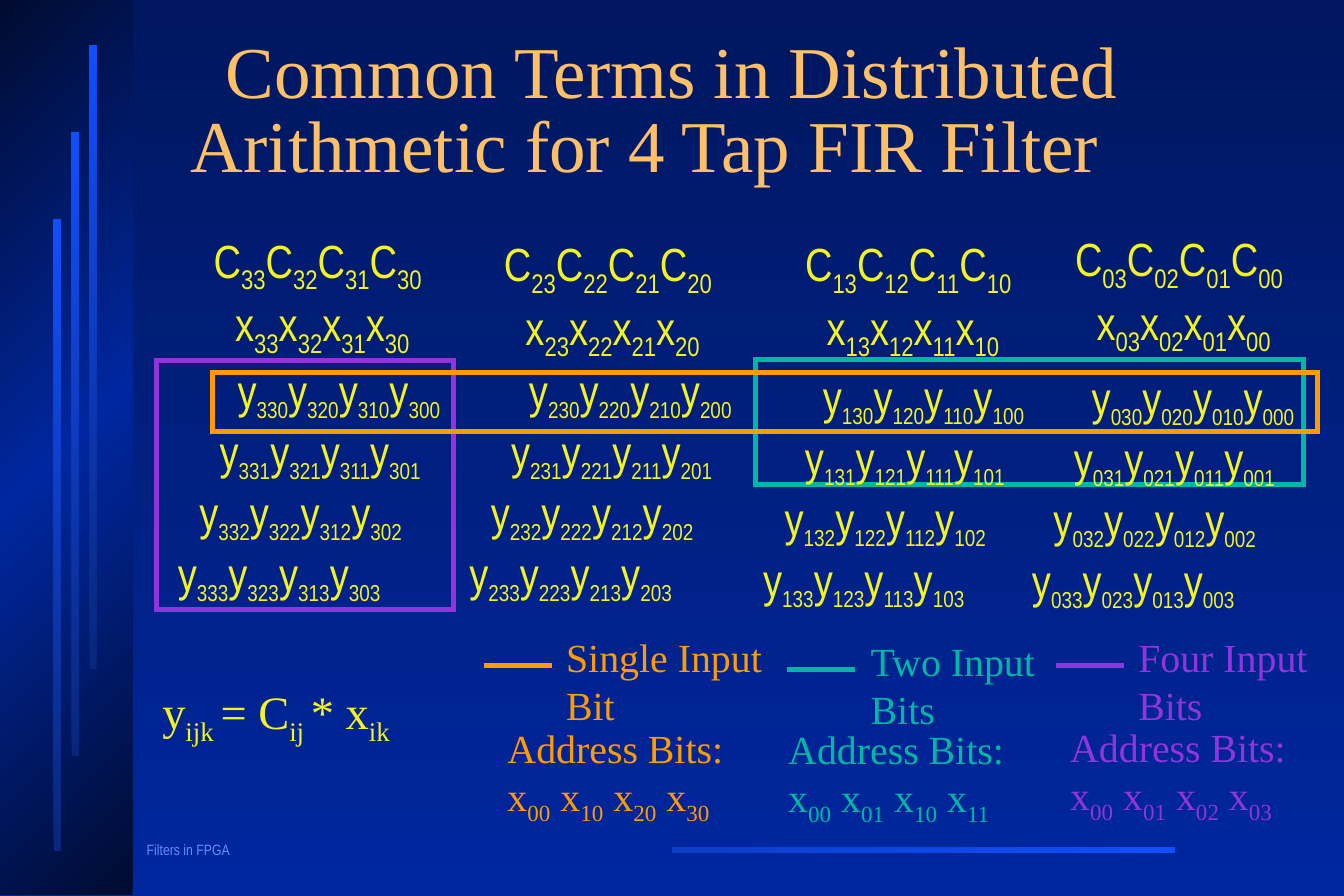
from copy import deepcopy
from dataclasses import dataclass

from lxml import etree
from pptx import Presentation
from pptx.dml.color import RGBColor
from pptx.dml.fill import FillFormat
from pptx.enum.shapes import MSO_CONNECTOR, MSO_SHAPE
from pptx.enum.text import MSO_ANCHOR, MSO_AUTO_SIZE
from pptx.oxml.ns import qn
from pptx.slide import Slide
from pptx.text.text import _Paragraph as Para
from pptx.util import Emu, Pt

RECT = MSO_SHAPE.RECTANGLE
LINE = MSO_CONNECTOR.STRAIGHT
MIDDLE = MSO_ANCHOR.MIDDLE
GROW = MSO_AUTO_SIZE.SHAPE_TO_FIT_TEXT
FIXED = MSO_AUTO_SIZE.NONE
SCALE = 9144
SERIF = "Times New Roman"
NARROW = "Arial Narrow"
YELLOW = "F3F31D"
ORANGE = "FE9B03"
GREEN = "00B7A5"
PURPLE = "9234DB"
BITS = (3, 2, 1, 0)
SUB = "-25000"


@dataclass
class Box:
    left: int
    top: int
    width: int
    height: int


@dataclass
class Style:
    font: str
    size: int
    color: str
    small: int


@dataclass
class Bar:
    box: Box
    colors: tuple[str, ...]


@dataclass
class Frame:
    box: Box
    color: str


@dataclass
class Column:
    tap: int
    head: tuple[int, int]
    grid: tuple[int, int]


@dataclass
class Key:
    color: str
    lines: list[str]
    dash: tuple[int, int]
    label: Box
    note: tuple[int, int]
    bits: str


GLOW = ("08277C", "114FFB")
BARS = [
    Bar(Box(563, 709, 421, 5), ("114FFB", "0D3EC8")),
    Bar(Box(0, 0, 111, 749), ("000B2F", "00279F", "000B2F")),
    Bar(Box(45, 184, 6, 528), GLOW),
    Bar(Box(60, 111, 6, 522), GLOW),
    Bar(Box(75, 38, 6, 522), GLOW),
]
FRAMES = [
    Frame(Box(131, 302, 249, 208), PURPLE),
    Frame(Box(632, 301, 459, 105), GREEN),
    Frame(Box(178, 312, 925, 49), ORANGE),
]
COLUMNS = [
    Column(3, (169, 189), (139, 298)),
    Column(2, (412, 192), (383, 298)),
    Column(1, (664, 192), (629, 303)),
    Column(0, (890, 188), (854, 304)),
]
KEYS = [
    Key(ORANGE, ["Single Input", "Bit"], (405, 557),
        Box(464, 525, 188, 90), (415, 601), "x|00| x|10| x|20| x|30"),
    Key(GREEN, ["Two Input", "Bits"], (659, 560),
        Box(719, 528, 164, 90), (650, 602), "x|00| x|01| x|10| x|11"),
    Key(PURPLE, ["Four Input", "Bits"], (884, 557),
        Box(943, 525, 166, 90), (886, 600), "x|00| x|01| x|02| x|03"),
]


def px(count: int) -> Emu:
    return Emu(count * SCALE)


def place(box: Box) -> tuple[Emu, Emu, Emu, Emu]:
    return px(box.left), px(box.top), px(box.width), px(box.height)


def paint(code: str) -> RGBColor:
    return RGBColor.from_string(code)


def shade(fill: FillFormat, node: etree._Element, colors: tuple[str, ...], angle: int) -> None:
    fill.gradient()
    fill.gradient_angle = 360 - angle
    stops = next(node.iter(qn("a:gsLst")))
    while len(stops) < len(colors):
        stops.append(deepcopy(stops[0]))
    for order, (stop, color) in enumerate(zip(fill.gradient_stops, colors)):
        stop.color.rgb = paint(color)
        stop.position = order / (len(colors) - 1)


def draw_bar(slide: Slide, bar: Bar) -> None:
    shape = slide.shapes.add_shape(RECT, *place(bar.box))
    shape.shadow.inherit = False
    shape.line.fill.background()
    shade(shape.fill, shape.element, bar.colors, 225)


def draw_frame(slide: Slide, frame: Frame) -> None:
    shape = slide.shapes.add_shape(RECT, *place(frame.box))
    shape.shadow.inherit = False
    shape.fill.background()
    shape.line.color.rgb = paint(frame.color)
    shape.line.width = Pt(3)
    edge = shape.element.spPr.find(qn("a:ln"))
    etree.SubElement(edge, qn("a:miter")).set("lim", "800000")


def draw_dash(slide: Slide, start: tuple[int, int], color: str) -> None:
    left, top = start
    dash = slide.shapes.add_connector(LINE, px(left), px(top), px(left + 57), px(top))
    dash.line.color.rgb = paint(color)
    dash.line.width = Pt(3)
    etree.SubElement(dash.element.spPr, qn("a:effectLst"))


def fill_line(para: Para, text: str, style: Style) -> None:
    for order, part in enumerate(text.split("|")):
        if not part:
            continue
        run = para.add_run()
        run.text = part
        lower = order % 2 == 1
        run.font.name = style.font
        run.font.size = Pt(style.small if lower else style.size)
        run.font.color.rgb = paint(style.color)
        if lower:
            run._r.get_or_add_rPr().set("baseline", SUB)


def write(slide: Slide, box: Box, lines: list[str], style: Style,
          margins: tuple[int, ...] = ()) -> list[Para]:
    frame = slide.shapes.add_textbox(*place(box)).text_frame
    frame.word_wrap = True
    frame.auto_size = GROW
    for _ in lines[1:]:
        frame.add_paragraph()
    for para, text in zip(frame.paragraphs, lines):
        fill_line(para, text, style)
    for para, margin in zip(frame.paragraphs, margins):
        para._p.get_or_add_pPr().set("marL", str(px(margin)))
    return list(frame.paragraphs)


def draw_title(slide: Slide) -> None:
    frame = slide.shapes.add_textbox(*place(Box(116, 32, 893, 125))).text_frame
    frame.word_wrap = True
    frame.auto_size = FIXED
    frame.vertical_anchor = MIDDLE
    para = frame.paragraphs[0]
    fill_line(para, "Common Terms in Distributed Arithmetic for 4 Tap FIR Filter",
              Style(SERIF, 44, "FEC066", 44))
    para.line_spacing = 0.85
    props = para._p.get_or_add_pPr()
    props.set("marL", str(px(34)))
    props.set("indent", str(px(29)))


def draw_column(slide: Slide, column: Column) -> None:
    tap = column.tap
    heads = ["".join(f"{name}|{tap}{bit}|" for bit in BITS) for name in "Cx"]
    rows = ["".join(f"y|{tap}{bit}{row}|" for bit in BITS) for row in range(4)]
    write(slide, Box(*column.head, 198, 116), heads, Style(NARROW, 28, YELLOW, 28), (0, 18))
    write(slide, Box(*column.grid, 244, 215), rows, Style(NARROW, 28, YELLOW, 24), (50, 35, 18, 0))


def draw_key(slide: Slide, key: Key) -> None:
    style = Style(SERIF, 24, key.color, 24)
    draw_dash(slide, key.dash, key.color)
    write(slide, key.label, key.lines, style)
    write(slide, Box(*key.note, 206, 96), ["Address Bits:", key.bits], style)


def main() -> None:
    deck = Presentation()
    deck.slide_width, deck.slide_height = px(1125), px(750)
    slide = deck.slides.add_slide(deck.slide_layouts[6])
    shade(slide.background.fill, slide.element, ("00175F", "00279F"), 90)
    footer = write(slide, Box(113, 700, 150, 23), ["Filters in FPGA"],
                   Style(NARROW, 9, "618FFD", 9))
    footer[0].line_spacing = 0.9
    for bar in BARS:
        draw_bar(slide, bar)
    for frame in FRAMES:
        draw_frame(slide, frame)
    draw_title(slide)
    for key in KEYS:
        draw_key(slide, key)
    for column in COLUMNS:
        draw_column(slide, column)
    write(slide, Box(126, 567, 231, 63), ["y|ijk |= C|ij |* x|ik"],
          Style(SERIF, 28, YELLOW, 28))
    deck.save("out.pptx")


if __name__ == "__main__":
    main()
